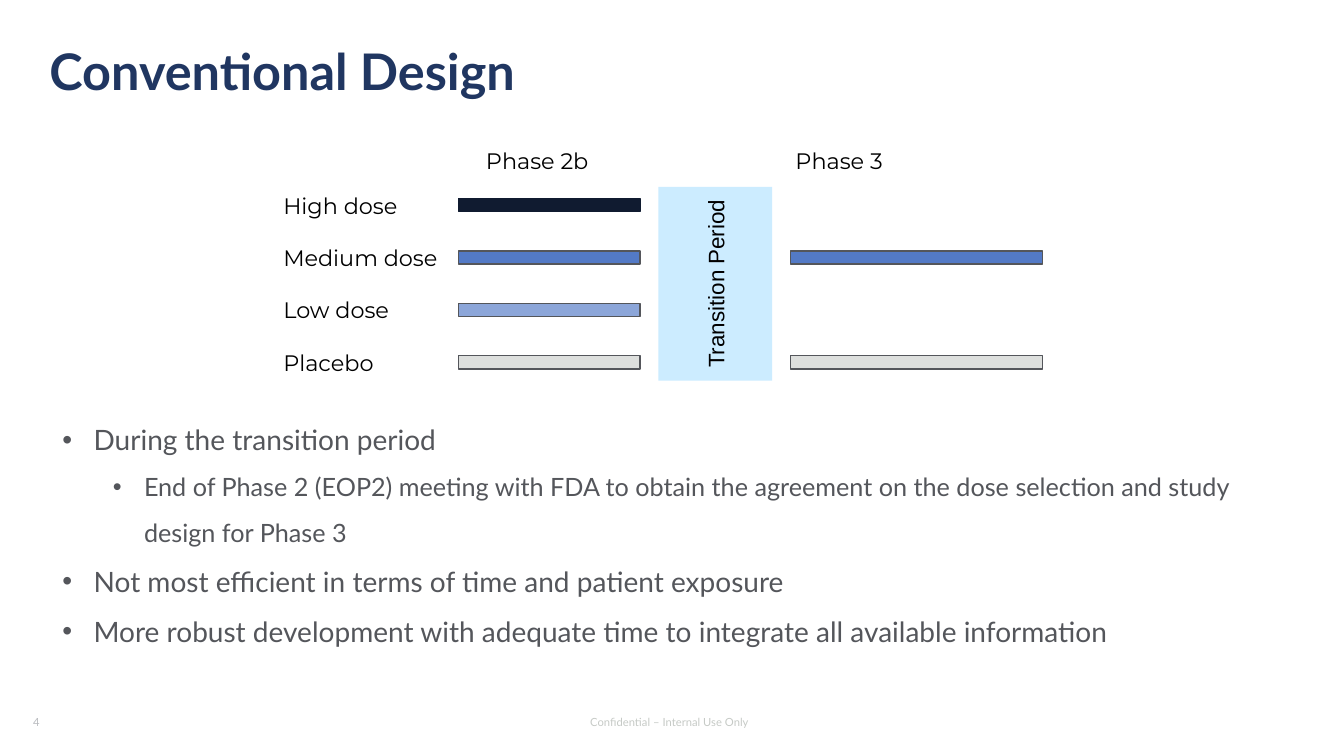
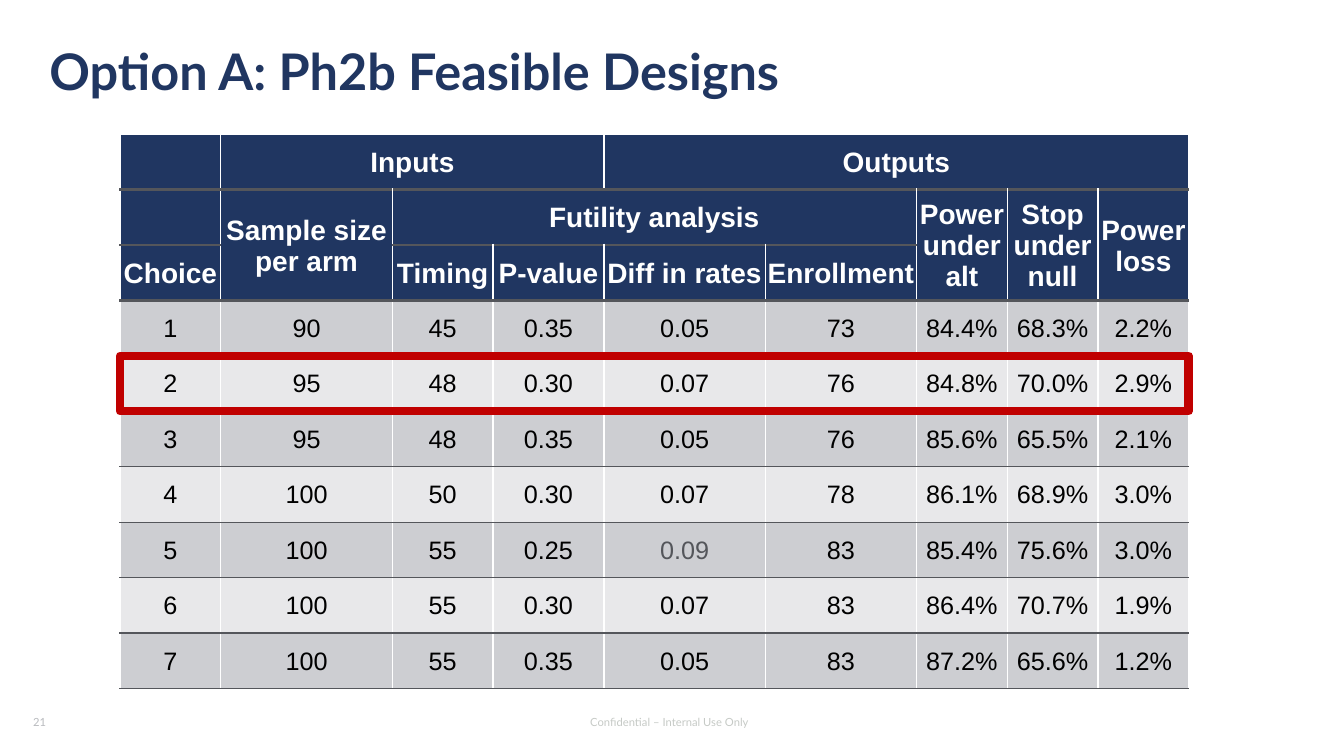
from itertools import accumulate

from lxml.etree import SubElement
from pptx import Presentation
from pptx.dml.color import RGBColor
from pptx.enum.shapes import MSO_SHAPE
from pptx.enum.text import MSO_ANCHOR, PP_ALIGN
from pptx.oxml.ns import qn
from pptx.util import Inches, Pt

WIDTH, HEIGHT = 13.33, 7.5
NAVY = RGBColor(0x20, 0x36, 0x61)
DARK = RGBColor(0x10, 0x1B, 0x30)
BLUE = RGBColor(0x53, 0x7A, 0xC6)
LIGHT_BLUE = RGBColor(0x8C, 0xA6, 0xD9)
SKY = RGBColor(0xCC, 0xEC, 0xFF)
PALE = RGBColor(0xDD, 0xDF, 0xDD)
GRAY = RGBColor(0x54, 0x56, 0x5B)
FOOTER_GRAY = RGBColor(0xC6, 0xCA, 0xC6)
NUMBER_GRAY = RGBColor(0xB9, 0xBB, 0xBF)
ODD_ROW = RGBColor(0xCD, 0xCE, 0xD2)
EVEN_ROW = RGBColor(0xE8, 0xE8, 0xEA)
RED = RGBColor(0xC0, 0x00, 0x00)
BLACK = RGBColor(0, 0, 0)
WHITE = RGBColor(0xFF, 0xFF, 0xFF)

TITLE = {"name": "Lato", "size": Pt(36), "bold": True, "color": NAVY}
FOOTER = {"name": "Lato", "size": Pt(8), "color": FOOTER_GRAY}
NUMBER = {**FOOTER, "color": NUMBER_GRAY}
LABEL = {"name": "Montserrat", "size": Pt(16), "color": BLACK}
TRANSITION = {**LABEL, "name": "Arial"}
BULLET = {"name": "Lato", "size": Pt(20), "color": GRAY}
SUB_BULLET = {**BULLET, "size": Pt(18)}
HEAD_CELL = {"name": "Arial", "size": Pt(20), "bold": True, "color": WHITE}
BODY_CELL = {"name": "Arial", "size": Pt(18), "bold": False, "color": BLACK}

BULLETS = [
    (0, "During the transition period"),
    (1, "End of Phase 2 (EOP2) meeting with FDA to obtain the agreement on the "
        "dose selection and study design for Phase 3"),
    (0, "Not most efficient in terms of time and patient exposure"),
    (0, "More robust development with adequate time to integrate all available "
        "information"),
]
DOSES = [
    ("High dose", DARK, DARK, False),
    ("Medium dose", BLUE, GRAY, True),
    ("Low dose", LIGHT_BLUE, GRAY, False),
    ("Placebo", PALE, GRAY, True),
]
COLUMNS = [1, 1.7, 1, 1.1, 1.6, 1.5, 0.9, 0.9, 0.9]
HEADER_ROWS = 3
HEADERS = [
    (0, 1, 1, 3, "Inputs"),
    (0, 4, 1, 5, "Outputs"),
    (1, 1, 2, 1, "Sample size per arm"),
    (1, 2, 1, 4, "Futility analysis"),
    (1, 6, 2, 1, "Power under alt"),
    (1, 7, 2, 1, "Stop under null"),
    (1, 8, 2, 1, "Power loss"),
    (2, 0, 1, 1, "Choice"),
    (2, 2, 1, 1, "Timing"),
    (2, 3, 1, 1, "P-value"),
    (2, 4, 1, 1, "Diff in rates"),
    (2, 5, 1, 1, "Enrollment"),
]
DESIGNS = [
    ("1", "90", "45", "0.35", "0.05", "73", "84.4%", "68.3%", "2.2%"),
    ("2", "95", "48", "0.30", "0.07", "76", "84.8%", "70.0%", "2.9%"),
    ("3", "95", "48", "0.35", "0.05", "76", "85.6%", "65.5%", "2.1%"),
    ("4", "100", "50", "0.30", "0.07", "78", "86.1%", "68.9%", "3.0%"),
    ("5", "100", "55", "0.25", "0.09", "83", "85.4%", "75.6%", "3.0%"),
    ("6", "100", "55", "0.30", "0.07", "83", "86.4%", "70.7%", "1.9%"),
    ("7", "100", "55", "0.35", "0.05", "83", "87.2%", "65.6%", "1.2%"),
]
CHOSEN = "2"


def inches(box):
    return [Inches(length) for length in box]


def write(para, text, style):
    span = para.add_run()
    span.text = text
    for key, value in style.items():
        if key == "color":
            span.font.color.rgb = value
        else:
            setattr(span.font, key, value)


def set_frame(frame, anchor, inset):
    frame.word_wrap = True
    frame.vertical_anchor = anchor
    sides = ("left", "top", "right", "bottom")
    for side, length in zip(sides, inset):
        setattr(frame, f"margin_{side}", Inches(length))


def add_text(page, box, text, style, align=PP_ALIGN.LEFT,
             anchor=MSO_ANCHOR.MIDDLE, inset=(0.1, 0.05, 0.1, 0.05)):
    frame = page.shapes.add_textbox(*inches(box)).text_frame
    set_frame(frame, anchor, inset)
    para = frame.paragraphs[0]
    para.alignment = align
    write(para, text, style)
    return para


def add_rectangle(page, box, fill=None, line=None, weight=1):
    shape = page.shapes.add_shape(MSO_SHAPE.RECTANGLE, *inches(box))
    shape.shadow.inherit = False
    if fill is None:
        shape.fill.background()
    else:
        shape.fill.solid()
        shape.fill.fore_color.rgb = fill
    if line is None:
        shape.line.fill.background()
    else:
        shape.line.color.rgb = line
        shape.line.width = Pt(weight)
    return shape


def add_page(deck, title, number):
    page = deck.slides.add_slide(deck.slide_layouts[6])
    add_text(page, (5.14, 7, 3, 0.32), "Confidential –\u00a0Internal Use Only",
             FOOTER, PP_ALIGN.CENTER)
    add_text(page, (0.23, 7, 3, 0.32), number, NUMBER)
    heading = add_text(page, (0.49, 0.47, 12.32, 0.53), title, TITLE,
                       anchor=MSO_ANCHOR.TOP, inset=(0, 0, 0, 0))
    heading.line_spacing = 0.9
    return page


def add_phases(page, left, top):
    columns = [1.79, 1.8, 0.18, 1.13, 0.18, 2.5]
    names, phase_2, _, transition, _, phase_3 = [
        (left + end - width, width)
        for end, width in zip(accumulate(columns), columns)]
    label_height, bar_height, pitch = 0.47, 0.13, 0.52
    first = top + label_height / 2 + 0.44

    def add_label(start, width, middle, text):
        add_text(page, (start, middle - label_height / 2, width, label_height),
                 text, LABEL, inset=(0.05, 0, 0, 0))

    for text, (start, width), indent in (("Phase 2b", phase_2, 0.22),
                                         ("Phase 3", phase_3, 0)):
        add_label(start + indent, width - indent, top + label_height / 2, text)

    for index, (name, fill, line, continues) in enumerate(DOSES):
        middle = first + index * pitch
        add_label(*names, middle, name)
        for start, width in [phase_2, phase_3][:1 + continues]:
            add_rectangle(page, (start, middle - bar_height / 2, width, bar_height),
                          fill, line)

    height = 1.92
    center = first + pitch * (len(DOSES) - 1) / 2
    start, width = transition
    block = add_rectangle(page, (start, center - height / 2, width, height), SKY)
    frame = block.text_frame
    set_frame(frame, MSO_ANCHOR.MIDDLE, (0.1, 0.05, 0.1, 0.05))
    frame.word_wrap = False
    frame._txBody.bodyPr.set("vert", "vert270")
    frame.paragraphs[0].alignment = PP_ALIGN.CENTER
    write(frame.paragraphs[0], "Transition Period", TRANSITION)


def add_bullets(page, box):
    frame = page.shapes.add_textbox(*inches(box)).text_frame
    set_frame(frame, MSO_ANCHOR.TOP, (0.1, 0.05, 0.1, 0.05))
    for index, (level, text) in enumerate(BULLETS):
        para = frame.add_paragraph() if index else frame.paragraphs[0]
        para.level = level
        para.line_spacing = 1.5
        properties = para._p.get_or_add_pPr()
        properties.set("marL", str(Inches(0.31 + 0.5 * level)))
        properties.set("indent", str(-Inches(0.31)))
        SubElement(properties, qn("a:buFont"), typeface="Arial")
        SubElement(properties, qn("a:buChar"), char="•")
        write(para, text, SUB_BULLET if level else BULLET)


def set_borders(cell, top, bottom):
    properties = cell._tc.get_or_add_tcPr()
    edges = {"L": (WHITE, 1), "R": (WHITE, 1), "T": top, "B": bottom}
    for index, (side, (color, weight)) in enumerate(edges.items()):
        line = SubElement(properties, qn(f"a:ln{side}"), w=str(Pt(weight)))
        fill = SubElement(line, qn("a:solidFill"))
        SubElement(fill, qn("a:srgbClr"), val=str(color))
        properties.insert(index, line)


def fill_cell(cell, text, style, inset):
    cell.vertical_anchor = MSO_ANCHOR.MIDDLE
    for side in ("left", "top", "right"):
        setattr(cell, f"margin_{side}", Inches(inset))
    cell.margin_bottom = 0
    para = cell.text_frame.paragraphs[0]
    para.alignment = PP_ALIGN.CENTER
    write(para, text, style)


def add_designs(page, left, top, row_height):
    rows = HEADER_ROWS + len(DESIGNS)
    width = sum(COLUMNS)
    box = (left, top, width, rows * row_height)
    table = page.shapes.add_table(rows, len(COLUMNS), *inches(box)).table
    table.first_row = table.horz_banding = False
    for column, size in zip(table.columns, COLUMNS):
        column.width = Inches(size)

    for row, column, down, across, text in HEADERS:
        cell = table.cell(row, column)
        if down * across > 1:
            cell.merge(table.cell(row + down - 1, column + across - 1))
        fill_cell(cell, text, HEAD_CELL, 0.02)
    for row, design in enumerate(DESIGNS, HEADER_ROWS):
        for column, text in enumerate(design):
            color = GRAY if text == "0.09" else BLACK
            fill_cell(table.cell(row, column), text,
                      {**BODY_CELL, "color": color}, 0.01)

    rules = [(WHITE, 1)] + [(GRAY, 2.25)] * HEADER_ROWS + [(GRAY, 1)] * len(DESIGNS)
    for row in range(rows):
        body_fill = ODD_ROW if (row - HEADER_ROWS) % 2 == 0 else EVEN_ROW
        for column in range(len(COLUMNS)):
            cell = table.cell(row, column)
            cell.fill.solid()
            cell.fill.fore_color.rgb = NAVY if row < HEADER_ROWS else body_fill
            if not cell.is_spanned:
                set_borders(cell, rules[row], rules[row + 1])

    chosen = HEADER_ROWS + [design[0] for design in DESIGNS].index(CHOSEN)
    add_rectangle(page, (left, top + chosen * row_height, width, row_height),
                  line=RED, weight=6)


def main():
    deck = Presentation()
    deck.slide_width, deck.slide_height = Inches(WIDTH), Inches(HEIGHT)

    page = add_page(deck, "Conventional Design", "4")
    add_phases(page, 2.76, 1.36)
    add_bullets(page, (0.52, 3.98, 12.31, 2.46))

    page = add_page(deck, "Option A: Ph2b Feasible Designs", "21")
    add_designs(page, 1.19, 1.33, 0.55)

    deck.save("out.pptx")


if __name__ == "__main__":
    main()
